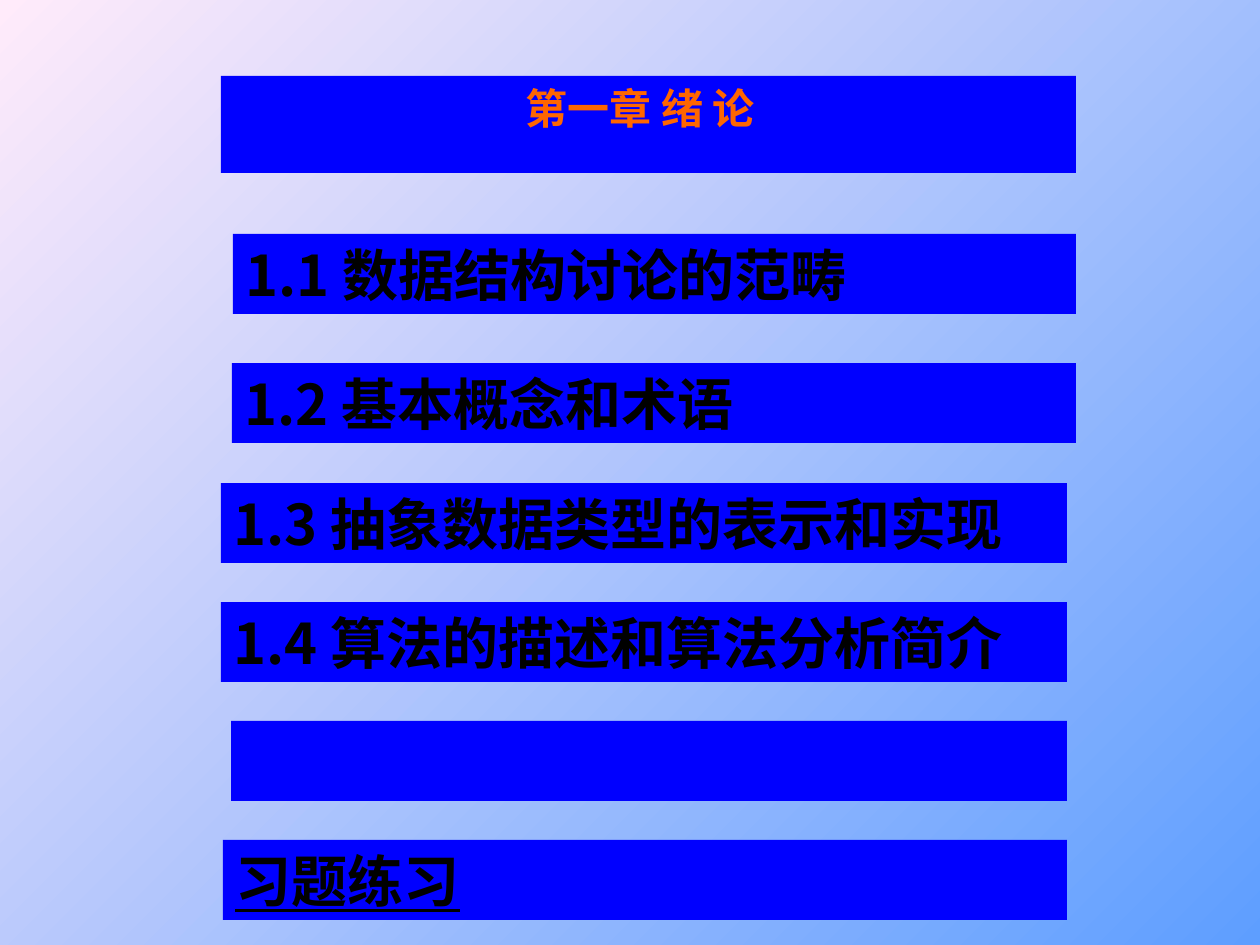
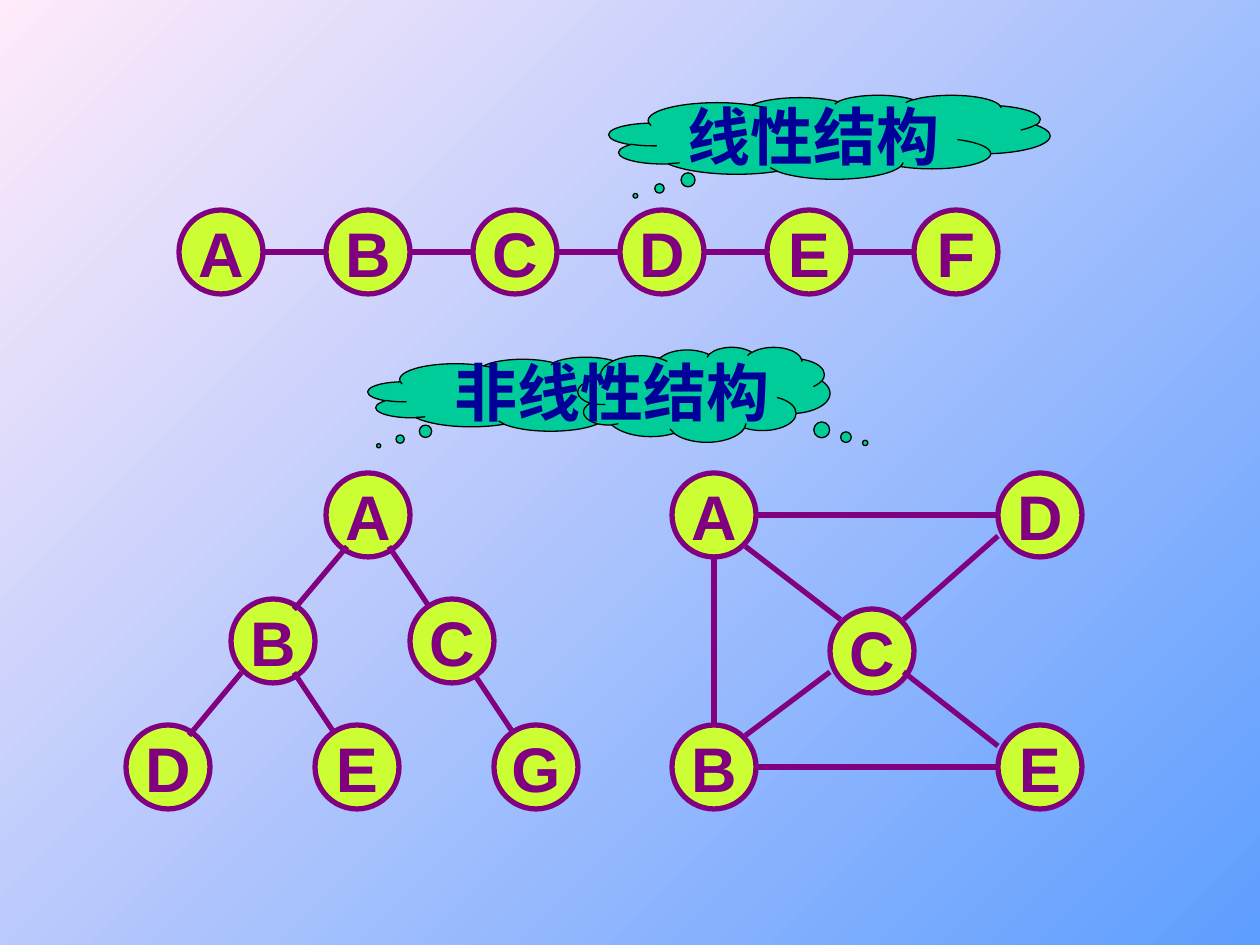
import pptx
import pptx.dml.color
import pptx.enum.shapes
import pptx.enum.text
import pptx.oxml.ns
import pptx.util
from dataclasses import dataclass
from lxml import etree

SHAPE = pptx.enum.shapes.MSO_SHAPE
ANCHOR = pptx.enum.text.MSO_ANCHOR
ALIGN = pptx.enum.text.PP_ALIGN
EMU_PER_PX = 914400 / 126


@dataclass(frozen=True)
class Theme:
    back_start: str = "5E9EFF"
    back_end: str = "FFEBFA"
    bar: str = "0000FF"
    bar_text: str = "000000"
    title: str = "FF6600"
    node: str = "CCFF33"
    edge: str = "800080"
    cloud: str = "00CC99"
    cloud_line: str = "000000"
    cloud_text: str = "000099"
    cjk: str = "Noto Sans CJK SC"
    serif: str = "Times New Roman"
    sans: str = "Arial"
    title_size: int = 24
    bar_size: int = 32
    label_size: int = 36
    edge_width: float = 3
    cloud_width: float = 0.75


THEME = Theme()

# Chapter contents: text, left, top, right, underlined
CHAPTER_TITLE = "第一章 绪 论"
TITLE_AREA = (252, 76, 777, 89)
TITLE_BAR = (221, 76, 855, 97)
BAR_HEIGHT = 80
SECTIONS = [
    ("1.1 数据结构讨论的范畴", 233, 234, 1076, False),
    ("1.2 基本概念和术语", 232, 363, 1076, False),
    ("1.3 抽象数据类型的表示和实现", 221, 483, 1067, False),
    ("1.4 算法的描述和算法分析简介", 221, 602, 1067, False),
    ("", 231, 721, 1067, False),
    ("习题练习", 223, 840, 1067, True),
]

# Diagrams: edge ends are counted in eighths of a node, from its top left
NODE = 84
LEFT, RIGHT, TOP, BOTTOM = (0, 4), (8, 4), (4, 0), (4, 8)
CHAIN = "ABCDEF"
CHAIN_LEFT, CHAIN_TOP, CHAIN_STEP = 179, 210, 147
DIAGRAMS = [
    {
        "nodes": {name: (CHAIN_LEFT + i * CHAIN_STEP, CHAIN_TOP)
                  for i, name in enumerate(CHAIN)},
        "edges": [(a, RIGHT, b, LEFT) for a, b in zip(CHAIN, CHAIN[1:])],
        "front": "",
    },
    {
        "nodes": {"A": (326, 473), "B": (231, 599), "D": (126, 725),
                  "E": (315, 725), "G": (494, 725), "C": (410, 599)},
        "edges": [("A", (2, 7), "B", (6, 1)), ("B", (1, 7), "D", (6, 1)),
                  ("B", (6, 7), "E", (2, 1)), ("A", (6, 7), "C", (2, 1)),
                  ("C", (6, 7), "G", (2, 1))],
        "front": "EGC",
    },
    {
        "nodes": {"A": (672, 473), "B": (672, 725), "C": (830, 609),
                  "D": (998, 473), "E": (998, 725)},
        "edges": [("B", RIGHT, "E", LEFT), ("B", TOP, "A", BOTTOM),
                  ("A", RIGHT, "D", LEFT), ("A", (7, 7), "C", (1, 1)),
                  ("C", (7, 6), "E", (0, 2)), ("B", (7, 1), "C", (0, 6)),
                  ("C", (7, 1), "D", (0, 6))],
        "front": "",
    },
]

# Clouds: area, pointer position, text
CLOUDS = [
    ((609, 95, 441, 84), (-0.44, 0.7), "线性结构"),
    ((368, 357, 357, 74), (-0.47, 0.7), ""),
    ((578, 347, 252, 95), (0.64, 0.51), ""),
]
NONLINEAR_LABEL = ("非线性结构", (442, 347, 340, 88))


def px(*lengths):
    return [pptx.util.Emu(round(length * EMU_PER_PX)) for length in lengths]


def rgb(code):
    return pptx.dml.color.RGBColor.from_string(code)


def write(box, text, size, color, font, align=ALIGN.LEFT, anchor=ANCHOR.TOP,
          wrap=False, underline=False):
    frame = box.text_frame
    frame.auto_size = pptx.enum.text.MSO_AUTO_SIZE.NONE
    frame.word_wrap = wrap
    frame.vertical_anchor = anchor
    para = frame.paragraphs[0]
    para.alignment = align
    span = para.add_run()
    span.text = text
    span.font.size = pptx.util.Pt(size)
    span.font.bold = True
    span.font.name = font
    span.font.color.rgb = rgb(color)
    if underline:
        span.font.underline = True
    east_asian = etree.SubElement(span._r.get_or_add_rPr(), pptx.oxml.ns.qn("a:ea"))
    east_asian.set("typeface", THEME.cjk)


def add_box(page, kind, area, fill, line=None, width=0):
    box = page.shapes.add_shape(kind, *px(*area))
    box.shadow.inherit = False
    box.fill.solid()
    box.fill.fore_color.rgb = rgb(fill)
    if line:
        box.line.color.rgb = rgb(line)
        box.line.width = pptx.util.Pt(width)
    else:
        box.line.fill.background()
    return box


def add_node(page, name, corner):
    node = add_box(page, SHAPE.OVAL, (*corner, NODE, NODE),
                   THEME.node, THEME.edge, THEME.edge_width)
    write(node, name, THEME.label_size, THEME.edge, THEME.sans,
          ALIGN.CENTER, ANCHOR.MIDDLE)


def add_edge(page, start, end):
    edge = page.shapes.add_connector(
        pptx.enum.shapes.MSO_CONNECTOR.STRAIGHT, *px(*start, *end))
    edge.line.color.rgb = rgb(THEME.edge)
    edge.line.width = pptx.util.Pt(THEME.edge_width)
    etree.SubElement(edge.element.spPr, pptx.oxml.ns.qn("a:effectLst"))


def add_diagram(page, nodes, edges, front):
    def port(name, eighths):
        return [corner + NODE * part / 8 for corner, part in zip(nodes[name], eighths)]

    for name in nodes:
        if name not in front:
            add_node(page, name, nodes[name])
    for first, leave, second, arrive in edges:
        add_edge(page, port(first, leave), port(second, arrive))
    for name in front:
        add_node(page, name, nodes[name])


def set_background(master):
    fill = master.background.fill
    fill.gradient()
    fill.gradient_angle = 135
    for stop, color in zip(fill.gradient_stops, (THEME.back_start, THEME.back_end)):
        stop.color.rgb = rgb(color)


def build_contents(deck):
    page = deck.slides.add_slide(deck.slide_layouts.get_by_name("Title Only"))
    for text, left, top, right, underline in SECTIONS:
        bar = add_box(page, SHAPE.RECTANGLE, (left, top, right - left, BAR_HEIGHT), THEME.bar)
        if text:
            write(bar, text, THEME.bar_size, THEME.bar_text,
                  THEME.serif if underline else THEME.cjk,
                  wrap=True, underline=underline)
    add_box(page, SHAPE.RECTANGLE, TITLE_BAR, THEME.bar)

    # The title stands in front of its bar
    title = page.shapes.title
    title.left, title.top, title.width, title.height = px(*TITLE_AREA)
    write(title, CHAPTER_TITLE, THEME.title_size, THEME.title, THEME.cjk,
          ALIGN.CENTER, wrap=True)
    page.shapes.element.append(title.element)


def build_structures(deck):
    page = deck.slides.add_slide(deck.slide_layouts.get_by_name("Blank"))
    for diagram in DIAGRAMS:
        add_diagram(page, **diagram)
    for area, pointer, text in CLOUDS:
        cloud = add_box(page, SHAPE.CLOUD_CALLOUT, area,
                        THEME.cloud, THEME.cloud_line, THEME.cloud_width)
        for i, value in enumerate(pointer):
            cloud.adjustments[i] = value
        if text:
            write(cloud, text, THEME.label_size, THEME.cloud_text, THEME.serif,
                  ALIGN.CENTER, ANCHOR.MIDDLE)
    text, area = NONLINEAR_LABEL
    write(page.shapes.add_textbox(*px(*area)), text, THEME.label_size,
          THEME.cloud_text, THEME.serif)


def main():
    deck = pptx.Presentation()
    deck.slide_width, deck.slide_height = px(1260, 945)
    set_background(deck.slide_master)
    build_contents(deck)
    build_structures(deck)
    deck.save("out.pptx")


if __name__ == "__main__":
    main()
